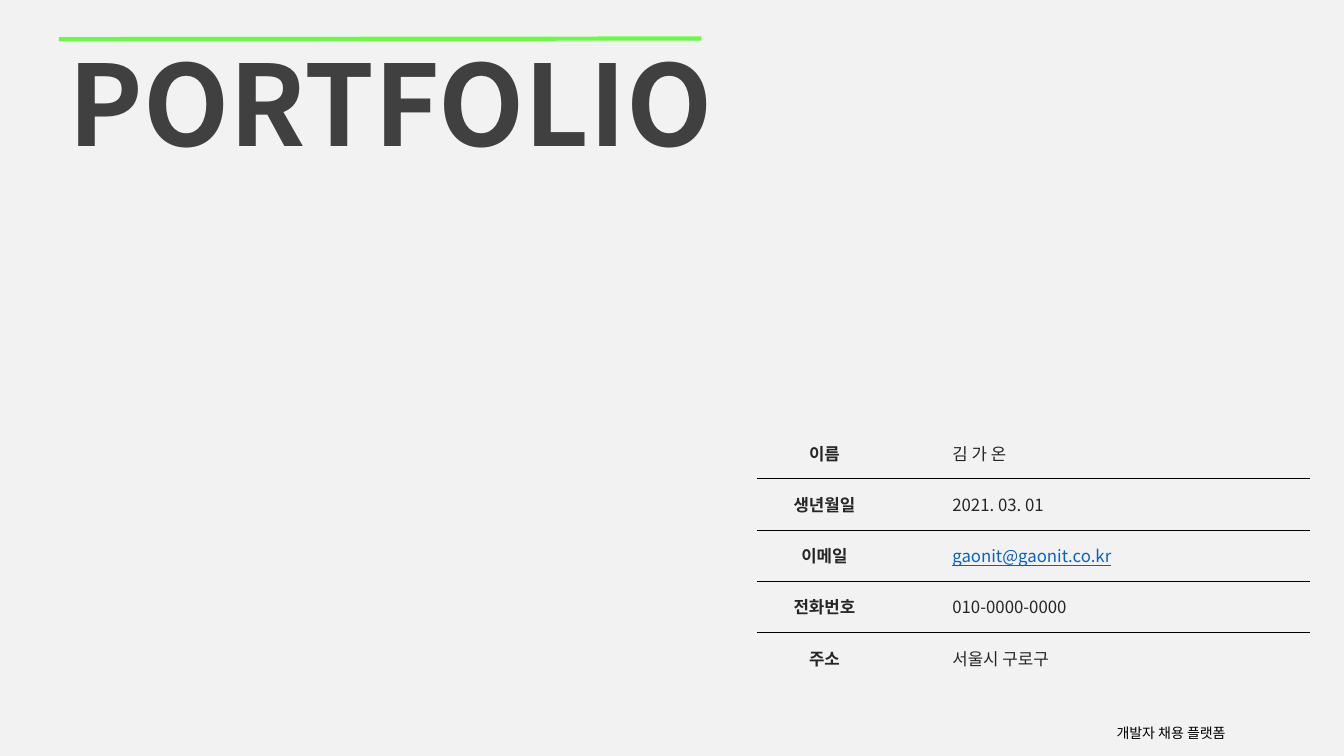
from lxml import etree
from pptx import Presentation
from pptx.dml.color import RGBColor
from pptx.enum.dml import MSO_THEME_COLOR
from pptx.enum.shapes import MSO_CONNECTOR
from pptx.enum.text import MSO_ANCHOR, MSO_AUTO_SIZE, PP_ALIGN
from pptx.oxml import parse_xml
from pptx.oxml.ns import nsdecls, qn
from pptx.util import Pt

LEFT, CENTER = PP_ALIGN.LEFT, PP_ALIGN.CENTER
TOP, MIDDLE = MSO_ANCHOR.TOP, MSO_ANCHOR.MIDDLE
STRAIGHT = MSO_CONNECTOR.STRAIGHT
NO_FIT = MSO_AUTO_SIZE.NONE
FONT = "Noto Sans CJK KR"
PAPER = RGBColor(0xF2, 0xF2, 0xF2)
GREEN = RGBColor(0x67, 0xFB, 0x42)
GRAY = RGBColor(0x40, 0x40, 0x40)
INK = RGBColor(0x26, 0x26, 0x26)
BLACK = RGBColor(0, 0, 0)
BLUE = RGBColor(0x05, 0x63, 0xC1)
PLAIN = "{2D5ABB26-0587-4C30-8999-92F81FD0307C}"


def write(frame, text, size=12, color=INK, bold=False, under=False,
          align=LEFT, anchor=TOP, indent=0):
    frame.word_wrap = True
    frame.vertical_anchor = anchor
    par = frame.paragraphs[0]
    par.alignment = align
    if indent:
        props = par._p.get_or_add_pPr()
        props.set("marL", str(Pt(indent)))
        props.set("indent", "0")
    run = par.add_run()
    run.text = text
    font = run.font
    font.name = FONT
    font.size = Pt(size)
    font.bold = bold
    font.underline = under
    font.color.rgb = color
    east = etree.SubElement(font._element, qn("a:ea"))
    east.set("typeface", FONT)


prs = Presentation()
prs.slide_width, prs.slide_height = Pt(960), Pt(540)
slide = prs.slides.add_slide(prs.slide_layouts[5])
slide.background.fill.solid()
slide.background.fill.fore_color.rgb = PAPER

title = slide.shapes.title
title.left, title.top, title.width, title.height = Pt(42), Pt(21), Pt(628), Pt(104.4)
title.text_frame.auto_size = NO_FIT
write(title.text_frame, "PORTFOLIO", size=80, color=GRAY, bold=True)

rule = slide.shapes.add_connector(STRAIGHT, Pt(42), Pt(28), Pt(501), Pt(27.5))
rule.line.color.rgb = GREEN
rule.line.width = Pt(3)
etree.SubElement(rule._element.spPr, qn("a:effectLst"))

note = slide.shapes.add_textbox(Pt(790.5), Pt(514), Pt(116.5), Pt(20))
write(note.text_frame, "개발자 채용 플랫폼", size=10, color=BLACK)

facts = [
    ("이름", "김 가 온"),
    ("생년월일", "2021. 03. 01"),
    ("이메일", "gaonit@gaonit.co.kr"),
    ("전화번호", "010-0000-0000"),
    ("주소", "서울시 구로구"),
]
frame = slide.shapes.add_table(len(facts), 2, Pt(540.7), Pt(305.2), Pt(395.2), Pt(183))
table = frame.table
table.first_row = table.horz_banding = False
table._tbl.tblPr.find(qn("a:tableStyleId")).text = PLAIN
table.columns[0].width, table.columns[1].width = Pt(96.4), Pt(298.8)
for i, (label, value) in enumerate(facts):
    table.rows[i].height = Pt(36.6)
    name, data = table.cell(i, 0), table.cell(i, 1)
    write(name.text_frame, label, bold=True, align=CENTER)
    mail = "@" in value
    write(data.text_frame, value, color=BLUE if mail else INK, under=mail, indent=36)
    for cell in (name, data):
        cell.vertical_anchor = MIDDLE
        cell.fill.background()
        if i < len(facts) - 1:
            edge = parse_xml(
                f'<a:lnB {nsdecls("a")} w="{Pt(0.25)}"><a:solidFill>'
                f'<a:srgbClr val="{BLACK}"/></a:solidFill></a:lnB>')
            cell._tc.get_or_add_tcPr().insert(0, edge)

prs.save("out.pptx")
